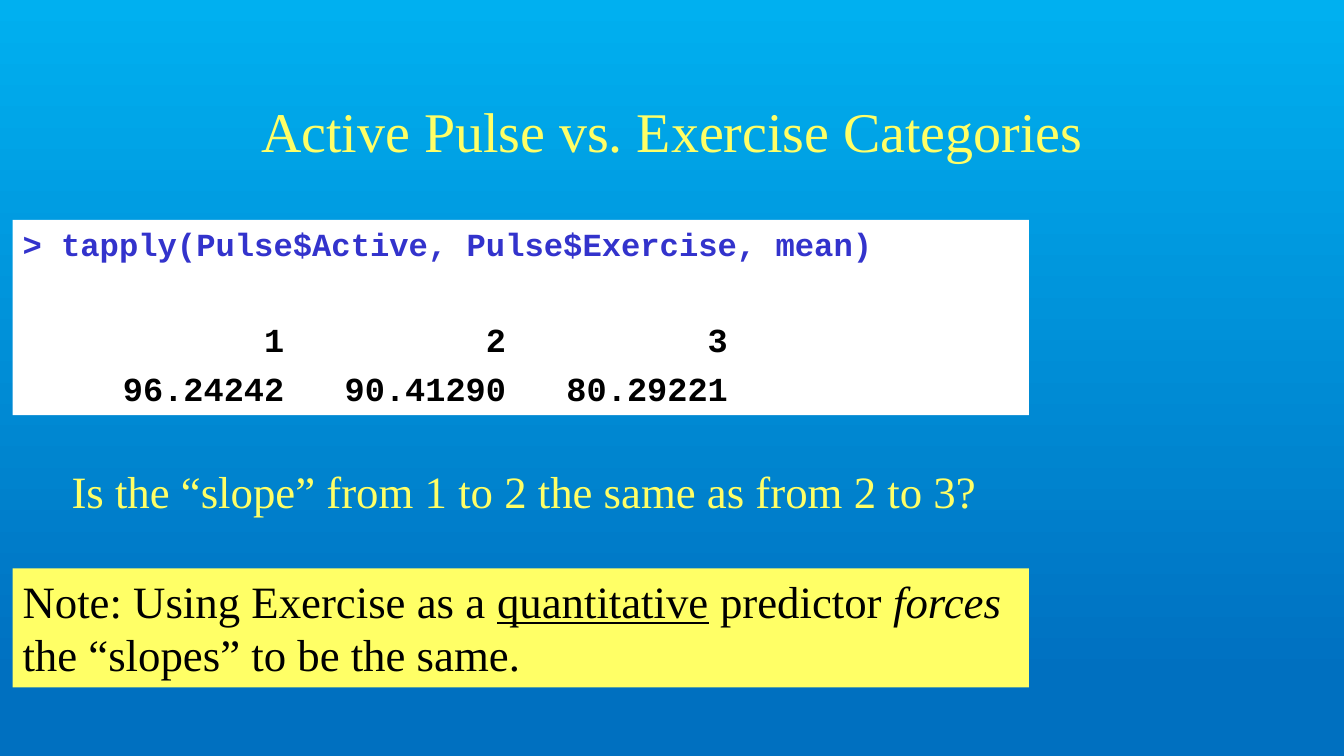
from lxml.etree import SubElement
from pptx import Presentation
from pptx.dml.color import RGBColor as RGB
from pptx.enum.shapes import MSO_SHAPE as Preset
from pptx.enum.text import MSO_ANCHOR as Anchor, PP_ALIGN as Align
from pptx.oxml.ns import qn
from pptx.util import Pt

COLORS = {"sky": "00B0F0", "deep": "0070C0", "yellow": "FFFF66",
          "white": "FFFFFF", "code": "3333CC", "black": "000000"}
SERIF, MONO = "Times New Roman", "Courier New"


class SlideBuilder:
    def __init__(self, presentation):
        self.slide = presentation.slides.add_slide(presentation.slide_layouts[5])

    def background(self, top, bottom):
        fill = self.slide.background.fill
        fill.gradient()
        fill.gradient_angle = 270
        for stop, color, position in zip(fill.gradient_stops, (top, bottom), (0, 0.9)):
            stop.color.rgb = RGB.from_string(COLORS[color])
            stop.position = position

    def title(self, text, left, top, width, height):
        shape = self.slide.shapes.title
        shape.left, shape.top = Pt(left), Pt(top)
        shape.width, shape.height = Pt(width), Pt(height)
        shape.text_frame.vertical_anchor = Anchor.MIDDLE
        self.add_text(shape.text_frame.paragraphs[0], [(text, {})], 40, "yellow",
                      align=Align.CENTER)

    def text_box(self, left, top, width, height):
        shape = self.slide.shapes.add_textbox(Pt(left), Pt(top), Pt(width), Pt(height))
        shape.text_frame.word_wrap = True
        return shape.text_frame

    def panel(self, color, left, top, width, height):
        shape = self.slide.shapes.add_shape(
            Preset.RECTANGLE, Pt(left), Pt(top), Pt(width), Pt(height))
        shape.shadow.inherit = False
        shape.fill.solid()
        shape.fill.fore_color.rgb = RGB.from_string(COLORS[color])
        shape.line.fill.background()
        shape.text_frame.word_wrap = True
        shape.text_frame.vertical_anchor = Anchor.TOP
        return shape.text_frame

    def add_text(self, paragraph, runs, size, color, font=SERIF, bold=False,
                 before=0, align=Align.LEFT):
        paragraph.alignment = align
        paragraph.space_before = Pt(before)
        for text, style in runs:
            run = paragraph.add_run()
            run.text = text
            run.font.name, run.font.size, run.font.bold = font, Pt(size), bold
            run.font.color.rgb = RGB.from_string(COLORS[color])
            run.font.underline = style.get("underline")
            run.font.italic = style.get("italic")

    def right_tabs(self, paragraph, positions):
        tabs = SubElement(paragraph._p.get_or_add_pPr(), qn("a:tabLst"))
        for position in positions:
            SubElement(tabs, qn("a:tab"), pos=str(Pt(position)), algn="r")


presentation = Presentation()
presentation.slide_width, presentation.slide_height = Pt(960), Pt(540)
builder = SlideBuilder(presentation)
builder.background("sky", "deep")
builder.title("Active Pulse vs. Exercise Categories", 72, 48, 816, 90)

# Command and its output, in right-aligned columns
output = builder.panel("white", 9, 157, 726, 139.5)
builder.add_text(output.paragraphs[0],
                 [("> tapply(Pulse$Active, Pulse$Exercise, mean)", {})],
                 23, "code", MONO, bold=True, before=6)
column_ends = [187 + 158.4 * column for column in range(3)]
rows = [(("1", "2", "3"), 40), (("96.24242", "90.41290", "80.29221"), 6)]
for values, before in rows:
    paragraph = output.add_paragraph()
    text = "".join("\t" + value for value in values)
    builder.add_text(paragraph, [(text, {})], 24, "black", MONO, bold=True,
                     before=before)
    builder.right_tabs(paragraph, column_ends)

# Question
question = builder.text_box(44, 328, 666, 45.5)
builder.add_text(question.paragraphs[0],
                 [("Is the “slope” from 1 to 2 the same as from 2 to 3?", {})],
                 32, "yellow", before=4)

# Note
note = builder.panel("yellow", 9, 406, 726, 85)
builder.add_text(note.paragraphs[0],
                 [("Note: Using Exercise as a ", {}),
                  ("quantitative", {"underline": True}),
                  (" predictor ", {}),
                  ("forces", {"italic": True}),
                  (" the “slopes” to be the same.", {})],
                 32, "black", before=4)

presentation.save("out.pptx")
